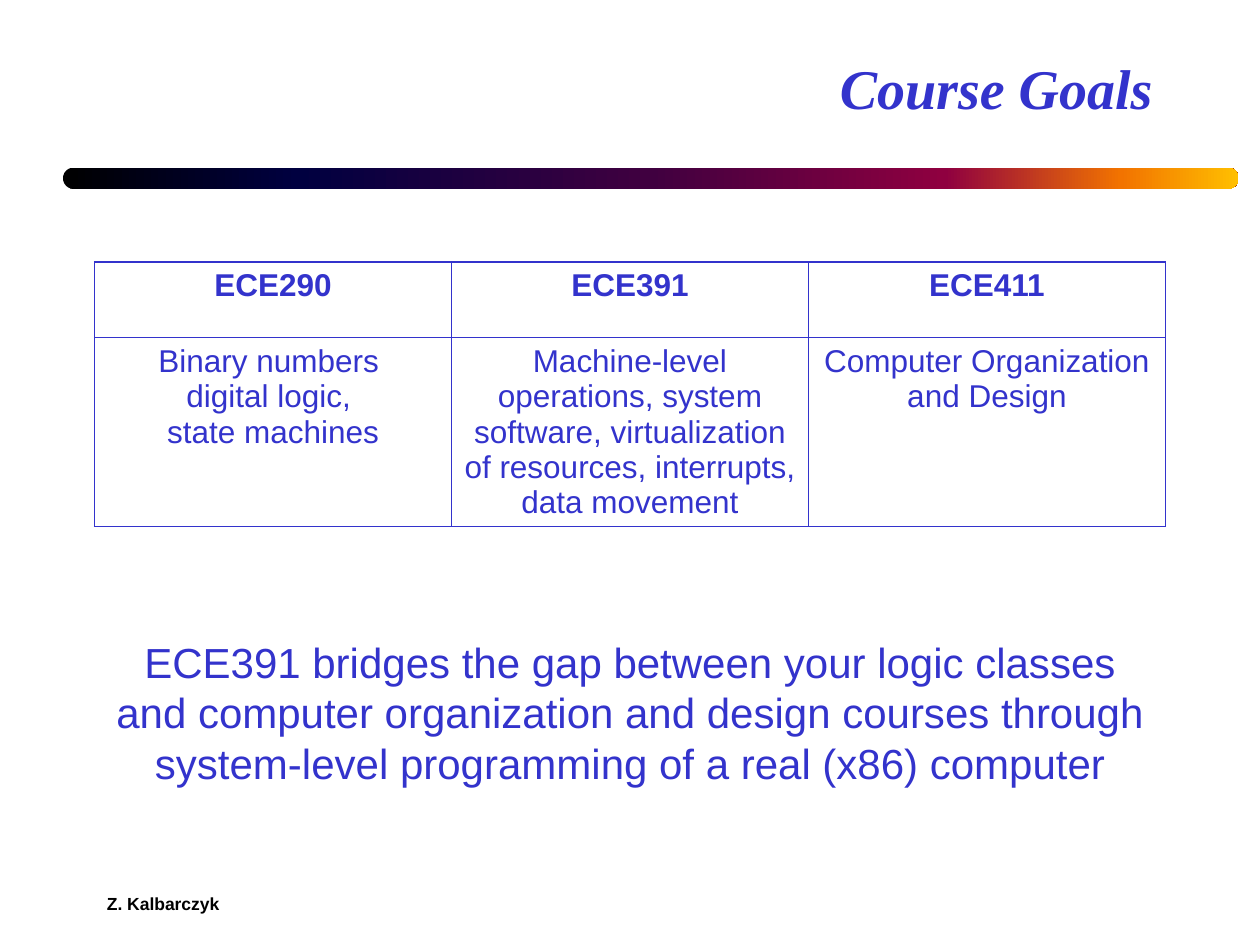
from pptx import Presentation
from pptx.util import Inches, Pt
from pptx.dml.color import RGBColor as RGB
from pptx.enum.shapes import MSO_SHAPE as Shape
from pptx.enum.text import PP_ALIGN as Align, MSO_ANCHOR as Anchor
from pptx.oxml import parse_xml
from pptx.oxml.ns import nsdecls

BLUE = RGB(0x33, 0x33, 0xCC)
BLACK = RGB(0, 0, 0)
STOPS = [(0, RGB(0, 0, 0)), (20, RGB(0, 0, 0x40)), (50, RGB(0x40, 0, 0x40)),
         (75, RGB(0x8F, 0, 0x40)), (90, RGB(0xF2, 0x73, 0)),
         (100, RGB(0xFF, 0xBF, 0))]

TITLE = "Course Goals"
AUTHOR = "Z. Kalbarczyk"
GOAL = ("ECE391 bridges the gap between your logic classes and computer "
        "organization and design courses through system-level programming "
        "of a real (x86) computer")
COURSES = [
    ("ECE290", ["Binary numbers ", "digital logic, ", "state machines"]),
    ("ECE391", ["Machine-level operations, system software, virtualization "
                "of resources, interrupts, data movement"]),
    ("ECE411", ["Computer Organization and Design"]),
]
LEFT, WIDTH = Inches(0.75), Inches(8.5)
ROWS = [Inches(0.6), Inches(1.5)]


def write(frame, lines, size, align, color=BLUE, face="Arial", bold=False, italic=False):
    para = frame.paragraphs[0]
    para.alignment = align
    for i, line in enumerate(lines):
        if i:
            para.add_line_break()
        run = para.add_run()
        run.text = line
        font = run.font
        font.size, font.name = Pt(size), face
        font.bold, font.italic = bold, italic
        font.color.rgb = color


def border(cell):
    props = cell._tc.get_or_add_tcPr()
    for i, side in enumerate(("lnL", "lnR", "lnT", "lnB")):
        props.insert(i, parse_xml(
            f'<a:{side} {nsdecls("a")} w="{Pt(1)}"><a:solidFill>'
            f'<a:srgbClr val="{BLUE}"/></a:solidFill></a:{side}>'))


deck = Presentation()
deck.slide_width, deck.slide_height = Inches(10), Inches(7.5)
slide = deck.slides.add_slide(deck.slide_layouts[5])
shapes = slide.shapes

bar = shapes.add_shape(Shape.ROUNDED_RECTANGLE, Inches(0.5), Inches(1.33),
                       Inches(9.33), Inches(0.17))
bar.adjustments[0] = 0.5
bar.shadow.inherit = False
bar.line.fill.background()
bar.fill.gradient()
bar.fill.gradient_angle = 0
marks = "".join(f'<a:gs pos="{pos * 1000}"><a:srgbClr val="{color}"/></a:gs>'
                for pos, color in STOPS)
grad = bar._element.spPr.gradFill
grad.replace(grad.gsLst, parse_xml(f'<a:gsLst {nsdecls("a")}>{marks}</a:gsLst>'))

title = shapes.title
title.left, title.top, title.width, title.height = LEFT, Inches(0.48), WIDTH, Inches(0.53)
title.text_frame.vertical_anchor = Anchor.BOTTOM
write(title.text_frame, [TITLE], 32, Align.RIGHT, face="Times New Roman",
      bold=True, italic=True)

table = shapes.add_table(2, len(COURSES), LEFT, Inches(2.08), WIDTH, sum(ROWS)).table
for row, height in zip(table.rows, ROWS):
    row.height = height
for col, (name, topics) in enumerate(COURSES):
    for row, lines in enumerate(([name], topics)):
        cell = table.cell(row, col)
        cell.fill.background()
        border(cell)
        write(cell.text_frame, lines, 18, Align.CENTER, bold=row == 0)

goal = shapes.add_textbox(LEFT, Inches(5), WIDTH, Inches(1.31)).text_frame
goal.word_wrap = True
write(goal, [GOAL], 24, Align.CENTER)

foot = shapes.add_textbox(LEFT, Inches(6.92), Inches(2.08), Inches(0.5)).text_frame
foot.word_wrap = True
foot.vertical_anchor = Anchor.MIDDLE
write(foot, [AUTHOR], 10, Align.LEFT, BLACK, bold=True)

deck.save("out.pptx")
